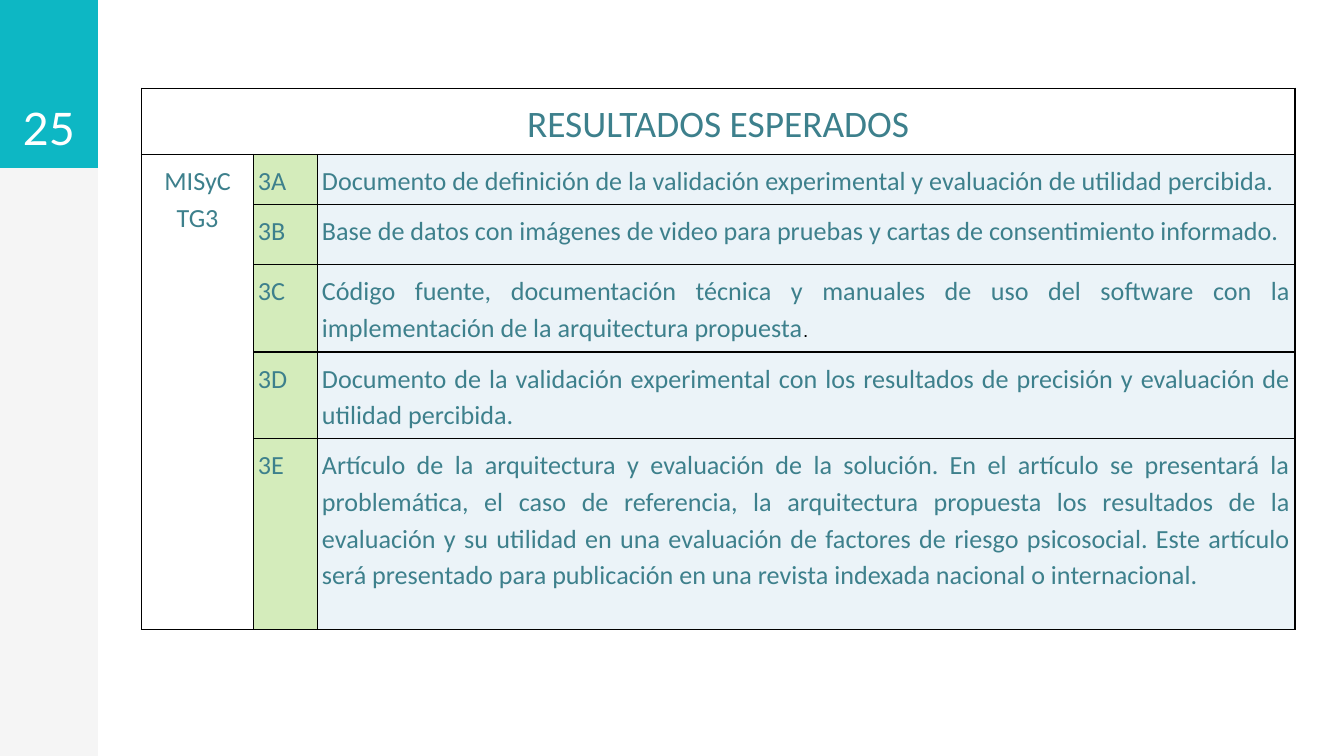
import dataclasses

import lxml.etree
import pptx
import pptx.dml.color
import pptx.enum.shapes
import pptx.enum.text
import pptx.oxml.ns
import pptx.slide
import pptx.table
import pptx.util

Pt = pptx.util.Pt
Align = pptx.enum.text.PP_ALIGN
qn = pptx.oxml.ns.qn


@dataclasses.dataclass(frozen=True)
class Fill:
    color: str
    opacity: int = 100


@dataclasses.dataclass(frozen=True)
class TextStyle:
    font: str
    size: float
    color: str


@dataclasses.dataclass(frozen=True)
class Theme:
    sidebar: Fill = Fill("000000", 4)
    number_band: Fill = Fill("0DB7C4")
    code_cell: Fill = Fill("92D050", 39)
    result_cell: Fill = Fill("D6E6F2", 47)
    border: str = "000000"
    border_width: float = 0.75
    number: TextStyle = TextStyle("Lato", 24, "FFFFFF")
    title: TextStyle = TextStyle("Calibri", 20, "3D808C")
    body: TextStyle = TextStyle("Calibri", 14, "3D808C")
    stop: TextStyle = TextStyle("Arial", 10, "000000")


@dataclasses.dataclass(frozen=True)
class Result:
    code: str
    description: str
    height: float
    ending: str = ""


THEME = Theme()
SLIDE_WIDTH, SLIDE_HEIGHT = 720, 405
SIDEBAR_WIDTH, BAND_HEIGHT = 52.5, 90
TABLE_LEFT, TABLE_TOP = 75.8, 47.3
COLUMN_WIDTHS = (60.2, 34.3, 523.5)
TITLE_HEIGHT = 35.4
RESULTS = (
    Result("3A", "Documento de definición de la validación experimental y evaluación "
           "de utilidad percibida.", 26.9),
    Result("3B", "Base de datos con imágenes de video para pruebas y cartas de "
           "consentimiento informado.", 32.2),
    Result("3C", "Código fuente, documentación técnica y manuales de uso del software "
           "con la implementación de la arquitectura propuesta", 46.8, "."),
    Result("3D", "Documento de la validación experimental con los resultados de "
           "precisión y evaluación de utilidad percibida.", 46.4),
    Result("3E", "Artículo de la arquitectura y evaluación de la solución. En el "
           "artículo se presentará la problemática, el caso de referencia, la "
           "arquitectura propuesta los resultados de la evaluación y su utilidad en "
           "una evaluación de factores de riesgo psicosocial. Este artículo será "
           "presentado para publicación en una revista indexada nacional o "
           "internacional.", 102.5),
)


def rgb(color: str) -> pptx.dml.color.RGBColor:
    return pptx.dml.color.RGBColor.from_string(color)


def apply_opacity(solid_fill: lxml.etree._Element, opacity: int) -> None:
    if opacity < 100:
        alpha = lxml.etree.SubElement(solid_fill.find(qn("a:srgbClr")), qn("a:alpha"))
        alpha.set("val", str(opacity * 1000))


def style_run(span, style: TextStyle) -> None:
    span.font.name = style.font
    span.font.size = Pt(style.size)
    span.font.color.rgb = rgb(style.color)


def draw_band(page: pptx.slide.Slide, height: float, fill: Fill):
    box = page.shapes.add_shape(pptx.enum.shapes.MSO_SHAPE.RECTANGLE,
                                Pt(0), Pt(0), Pt(SIDEBAR_WIDTH), Pt(height))
    box.shadow.inherit = False
    box.line.fill.background()
    box.fill.solid()
    box.fill.fore_color.rgb = rgb(fill.color)
    apply_opacity(box._element.spPr.find(qn("a:solidFill")), fill.opacity)
    return box


def draw_number(page: pptx.slide.Slide, number: str) -> None:
    frame = draw_band(page, BAND_HEIGHT, THEME.number_band).text_frame
    frame.margin_left = frame.margin_right = Pt(7.2)
    frame.margin_top = frame.margin_bottom = Pt(7.2)
    frame.vertical_anchor = pptx.enum.text.MSO_ANCHOR.BOTTOM
    frame.text = number
    frame.paragraphs[0].alignment = Align.CENTER
    style_run(frame.paragraphs[0].runs[0], THEME.number)


def draw_borders(cell: pptx.table._Cell) -> None:
    properties = cell._tc.get_or_add_tcPr()
    for side in ("a:lnL", "a:lnR", "a:lnT", "a:lnB"):
        line = lxml.etree.SubElement(properties, qn(side))
        line.set("w", str(int(Pt(THEME.border_width))))
        solid = lxml.etree.SubElement(line, qn("a:solidFill"))
        lxml.etree.SubElement(solid, qn("a:srgbClr")).set("val", THEME.border)


def fill_cell(cell: pptx.table._Cell, fill: Fill) -> None:
    cell.fill.solid()
    cell.fill.fore_color.rgb = rgb(fill.color)
    apply_opacity(cell._tc.tcPr.find(qn("a:solidFill")), fill.opacity)


def write_cell(cell: pptx.table._Cell, text: str, style: TextStyle, alignment: Align,
               ending: str = "") -> None:
    cell.margin_left = cell.margin_right = Pt(2.2)
    cell.margin_top = cell.margin_bottom = Pt(3.6)
    para = cell.text_frame.paragraphs[0]
    para.text = text
    para.alignment = alignment
    para.line_spacing = 1.15
    style_run(para.runs[0], style)
    if ending:
        span = para.add_run()
        span.text = ending
        style_run(span, THEME.stop)


def draw_results(page: pptx.slide.Slide) -> None:
    heights = [TITLE_HEIGHT] + [result.height for result in RESULTS]
    table = page.shapes.add_table(
        len(heights), len(COLUMN_WIDTHS), Pt(TABLE_LEFT), Pt(TABLE_TOP),
        Pt(sum(COLUMN_WIDTHS)), Pt(sum(heights))).table
    table.first_row = table.horz_banding = False
    for column, width in zip(table.columns, COLUMN_WIDTHS):
        column.width = Pt(width)
    for row, height in zip(table.rows, heights):
        row.height = Pt(height)
    for cell in table.iter_cells():
        draw_borders(cell)
        cell.fill.background()

    title, group = table.cell(0, 0), table.cell(1, 0)
    title.merge(table.cell(0, 2))
    group.merge(table.cell(len(RESULTS), 0))
    write_cell(title, "RESULTADOS ESPERADOS", THEME.title, Align.CENTER)
    write_cell(group, "MISyC TG3", THEME.body, Align.CENTER)
    for index, result in enumerate(RESULTS, start=1):
        code, description = table.cell(index, 1), table.cell(index, 2)
        fill_cell(code, THEME.code_cell)
        fill_cell(description, THEME.result_cell)
        write_cell(code, result.code, THEME.body, Align.JUSTIFY)
        write_cell(description, result.description, THEME.body, Align.JUSTIFY,
                   result.ending)


def main() -> None:
    deck = pptx.Presentation()
    deck.slide_width, deck.slide_height = Pt(SLIDE_WIDTH), Pt(SLIDE_HEIGHT)
    page = deck.slides.add_slide(deck.slide_layouts[6])
    draw_band(page, SLIDE_HEIGHT, THEME.sidebar)
    draw_number(page, "25")
    draw_results(page)
    deck.save("out.pptx")


if __name__ == "__main__":
    main()
